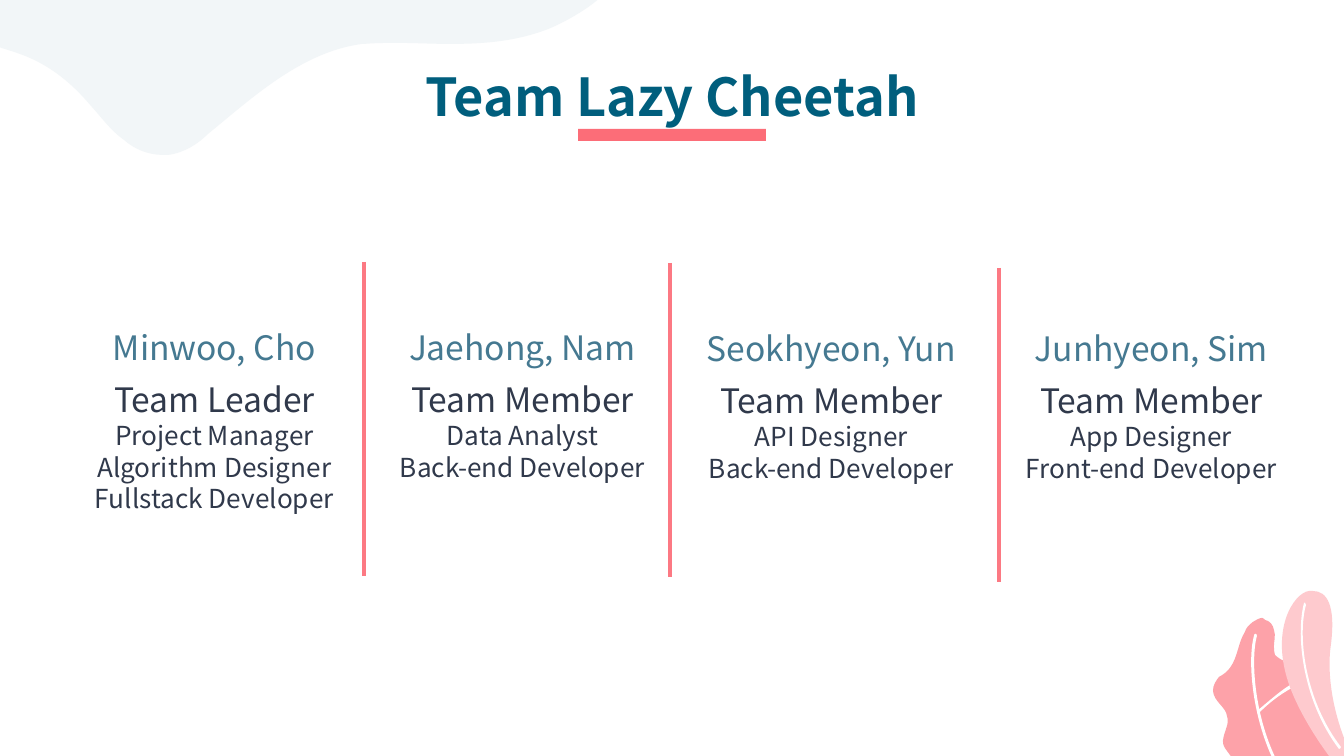
from lxml import etree
from pptx import Presentation
from pptx.dml.color import RGBColor
from pptx.enum.shapes import MSO_CONNECTOR as CONN, MSO_SHAPE as SHAPE
from pptx.enum.text import MSO_ANCHOR as ANCHOR, MSO_AUTO_SIZE as AUTO, PP_ALIGN as ALIGN
from pptx.oxml.ns import qn
from pptx.util import Emu, Pt

SCALE = 914400 / 134.4
FONT = "Noto Sans CJK KR"
WHITE = RGBColor(0xFF, 0xFF, 0xFF)
MIST = RGBColor(0xF2, 0xF6, 0xF8)
ROSE = RGBColor(0xFD, 0xA2, 0xA9)
BLUSH = RGBColor(0xFE, 0xCA, 0xCE)
CORAL = RGBColor(0xFC, 0x6D, 0x78)
DIVIDER = RGBColor(0xFC, 0x79, 0x83)
TEAL = RGBColor(0x00, 0x5E, 0x7D)
STEEL = RGBColor(0x45, 0x79, 0x91)
INK = RGBColor(0x30, 0x39, 0x4B)

CLOUD = [
    (224, -50), (156, -50, 86, -47, 16, -42), (1, -40, -15, -39, -28, -34),
    (-42, -27, -54, -16, -55, -3), (-58, 15, -42, 31, -24, 39),
    (-5, 47, 15, 51, 32, 59), (56, 70, 75, 87, 91, 106),
    (102, 118, 110, 130, 124, 140), (134, 149, 148, 155, 163, 155),
    (164, 155, 167, 155, 168, 155), (184, 153, 198, 144, 208, 134),
    (251, 99, 301, 52, 362, 44), (362, 44, 363, 44, 364, 44),
    (375, 43, 386, 43, 398, 43), (415, 43, 433, 44, 450, 44),
    (481, 44, 512, 42, 543, 31), (565, 24, 649, -22, 591, -34),
    (560, -40, 528, -40, 497, -42), (407, -46, 316, -50, 224, -50),
]
WAVY_LEAF = [
    (1320, 778), (1320, 778, 1258, 774, 1258, 774),
    (1251, 771, 1247, 769, 1241, 765), (1235, 761, 1231, 757, 1227, 751),
    (1224, 747, 1223, 745, 1223, 741), (1224, 731, 1230, 724, 1227, 716),
    (1226, 707, 1214, 702, 1213, 691), (1213, 685, 1216, 681, 1219, 677),
    (1223, 675, 1227, 672, 1230, 668), (1238, 657, 1238, 643, 1245, 632),
    (1246, 628, 1249, 625, 1253, 622), (1255, 621, 1259, 618, 1262, 618),
    (1263, 618, 1263, 618, 1265, 620), (1270, 621, 1273, 625, 1274, 630),
    (1276, 636, 1274, 641, 1274, 646), (1274, 649, 1274, 652, 1275, 655),
    (1277, 657, 1281, 660, 1284, 661), (1289, 664, 1294, 665, 1300, 668),
    (1305, 669, 1309, 673, 1312, 677), (1316, 684, 1313, 691, 1310, 698),
    (1309, 703, 1306, 710, 1308, 715), (1309, 718, 1312, 720, 1313, 722),
    (1316, 724, 1318, 726, 1320, 728), (1322, 730, 1324, 732, 1327, 735),
    (1331, 739, 1332, 745, 1332, 751), (1333, 755, 1332, 761, 1329, 766),
    (1328, 769, 1324, 778, 1320, 778),
]
SMOOTH_LEAF = [
    (1357, 766), (1336, 765), (1336, 765, 1305, 727, 1290, 687),
    (1269, 630, 1294, 593, 1309, 591), (1310, 591, 1312, 591, 1313, 591),
    (1327, 591, 1336, 605, 1331, 645), (1327, 671, 1331, 718, 1357, 766),
]
LONG_VEIN = [
    (1283, 778), (1252, 728, 1247, 661, 1254, 636), (1254, 633, 1257, 633, 1257, 636),
    (1250, 661, 1255, 728, 1285, 775), (1286, 777, 1285, 778, 1283, 778),
]
SIDE_VEIN = [
    (1258, 714), (1257, 713, 1257, 712, 1257, 711), (1268, 702, 1279, 692, 1290, 685),
    (1292, 685, 1293, 687, 1292, 688), (1279, 695, 1268, 704, 1259, 713),
]
SMOOTH_VEIN = [
    (1339, 749), (1304, 703, 1295, 638, 1304, 603), (1304, 602, 1306, 602, 1306, 605),
    (1297, 638, 1306, 702, 1341, 747), (1341, 748, 1340, 749, 1339, 749),
]
CURVES = [
    (CLOUD, MIST), (WAVY_LEAF, ROSE), (LONG_VEIN, WHITE), (SIDE_VEIN, WHITE),
    (SMOOTH_LEAF, BLUSH), (SMOOTH_VEIN, WHITE),
]

MEMBERS = [
    (23, 315, "Minwoo, Cho",
     [["Team Leader"], ["Project Manager"], ["Algorithm Designer"], ["Fullstack Developer"]]),
    (331, 315, "Jaehong, Nam", [["Team Member", "Data Analyst"], ["Back-end Developer"]]),
    (640, 316, "Seokhyeon, Yun", [["Team Member", "API Designer"], ["Back-end Developer"]]),
    (960, 316, "Junhyeon, Sim", [["Team Member", "App Designer"], ["Front-end Developer"]]),
]
DIVIDERS = [(364, 262), (670, 263), (999, 268)]


def px(n):
    """Turn pixels into EMU."""
    return Emu(round(n * SCALE))


def add_curve(slide, path, color):
    """Draw a filled outline of lines and cubic curves."""
    ends = [(px(step[-2]), px(step[-1])) for step in path]
    builder = slide.shapes.build_freeform(*ends[0], scale=1.0)
    builder.add_line_segments(ends[1:], close=True)
    sp = builder.convert_to_shape()
    lines = list(sp._element.iter(qn("a:lnTo")))
    for line, step in zip(lines, path[1:]):
        if len(step) == 6:
            bend = etree.Element(qn("a:cubicBezTo"))
            for x, y in zip(step[::2], step[1::2]):
                etree.SubElement(bend, qn("a:pt"), x=str(px(x) - sp.left), y=str(px(y) - sp.top))
            line.getparent().replace(line, bend)
    fill_plain(sp, color)


def fill_plain(sp, color):
    """Give a shape a flat fill without line or shadow."""
    sp.shadow.inherit = False
    sp.fill.solid()
    sp.fill.fore_color.rgb = color
    sp.line.fill.background()


def place(sp, x, y, w, h, anchor):
    """Move a text shape and set its frame."""
    sp.left, sp.top, sp.width, sp.height = map(px, (x, y, w, h))
    tf = sp.text_frame
    tf.word_wrap = True
    tf.auto_size = AUTO.NONE
    tf.vertical_anchor = anchor
    tf.margin_left = tf.margin_right = tf.margin_top = tf.margin_bottom = Pt(7.2)
    return tf


def add_run(p, text, size, color, bold=False):
    """Add one formatted run."""
    r = p.add_run()
    r.text = text
    r.font.name = FONT
    r.font.size = Pt(size)
    r.font.bold = bold
    r.font.color.rgb = color


def add_member(slide, x, y, name, paragraphs):
    """Add a name with the role and duties below it."""
    tf = place(slide.shapes.add_textbox(0, 0, 0, 0), x, y, 383, 66, ANCHOR.BOTTOM)
    tf.paragraphs[0].alignment = ALIGN.CENTER
    add_run(tf.paragraphs[0], name, 18, STEEL)
    tf = place(slide.shapes.add_textbox(0, 0, 0, 0), x + 18, y + 51, 347, 340, ANCHOR.TOP)
    for i, texts in enumerate(paragraphs):
        p = tf.add_paragraph() if i else tf.paragraphs[0]
        p.alignment = ALIGN.CENTER
        for j, text in enumerate(texts):
            if j:
                p.add_line_break()
            add_run(p, text, 14 if i or j else 18, INK)


def add_divider(slide, x, y):
    """Add a vertical rule between two members."""
    line = slide.shapes.add_connector(CONN.STRAIGHT, px(x), px(y), px(x), px(y + 314))
    line.line.color.rgb = DIVIDER
    line.line.width = Pt(2.25)
    etree.SubElement(line._element.spPr, qn("a:effectLst"))


def add_title(slide, text):
    """Fill the title placeholder and underline it with a bar."""
    tf = place(slide.shapes.title, 106, 51, 1132, 71, ANCHOR.TOP)
    tf.paragraphs[0].alignment = ALIGN.CENTER
    add_run(tf.paragraphs[0], text, 28, TEAL, bold=True)
    bar = slide.shapes.add_shape(SHAPE.RECTANGLE, px(578), px(129), px(188), px(12))
    fill_plain(bar, CORAL)


def main():
    """Build the team slide."""
    prs = Presentation()
    prs.slide_width, prs.slide_height = px(1344), px(756)
    slide = prs.slides.add_slide(prs.slide_layouts[5])
    for path, color in CURVES:
        add_curve(slide, path, color)
    add_title(slide, "Team Lazy Cheetah")
    for member in MEMBERS:
        add_member(slide, *member)
    for x, y in DIVIDERS:
        add_divider(slide, x, y)
    prs.save("out.pptx")


if __name__ == "__main__":
    main()
